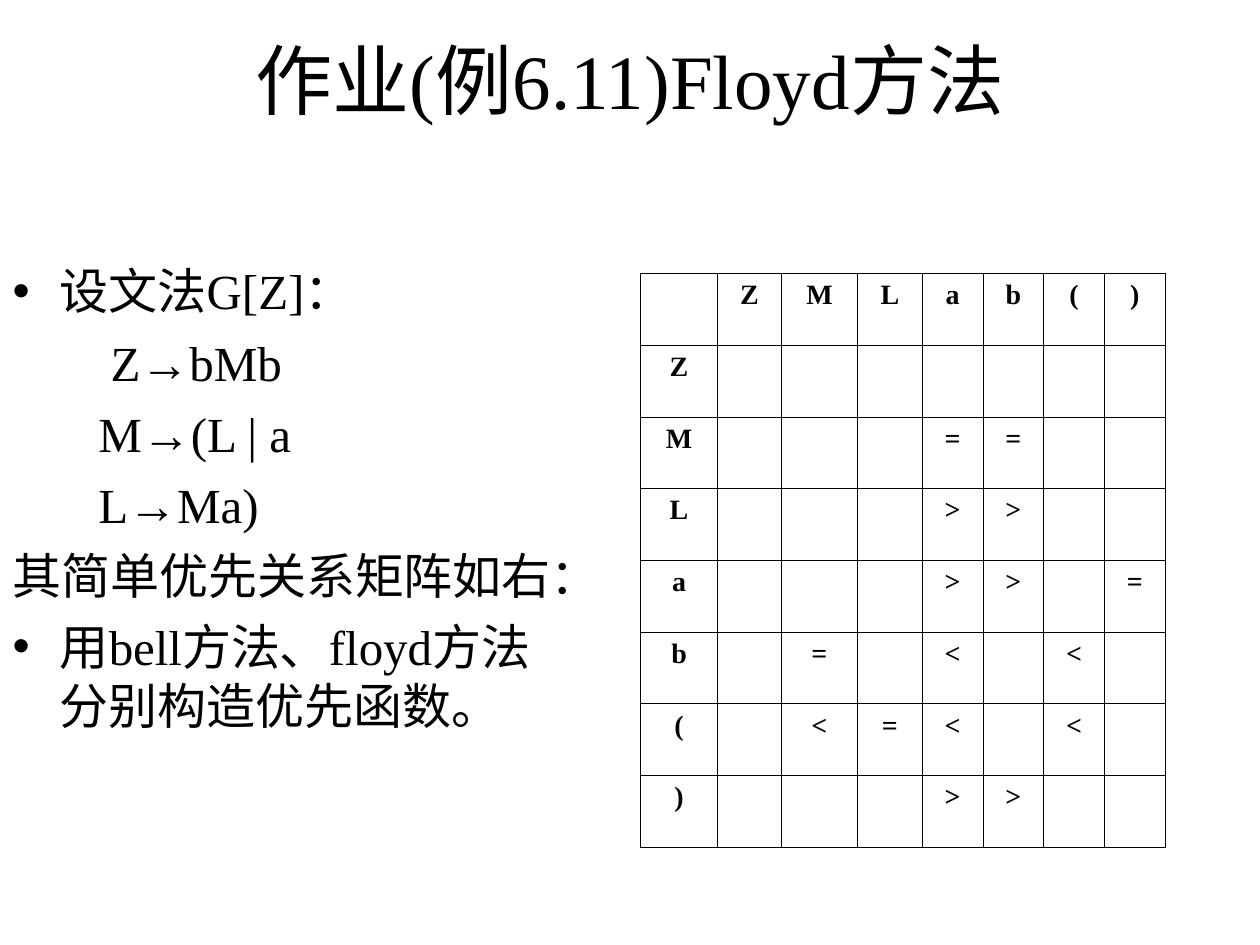
import dataclasses

import lxml.etree
import pptx
import pptx.dml.color
import pptx.enum.text
import pptx.oxml.ns
import pptx.util

Pt = pptx.util.Pt
qn = pptx.oxml.ns.qn
Align = pptx.enum.text.PP_ALIGN
Anchor = pptx.enum.text.MSO_ANCHOR


@dataclasses.dataclass(frozen=True)
class Theme:
    face: str = "Times New Roman"
    ink: str = "000000"
    title: int = 44
    body: int = 28
    cell: int = 16
    rule: float = 0.45


THEME = Theme()

TITLE = "作业(例6.11)Floyd方法"
HANG = 27
LINES = [
    ("设文法G[Z]：", HANG, -HANG, True),
    ("Z→bMb", 56, 0, False),
    ("M→(L | a", 49, 0, False),
    ("L→Ma)", 49, 0, False),
    ("其简单优先关系矩阵如右：", HANG, -HANG, False),
    ("用bell方法、floyd方法分别构造优先函数。", HANG, -HANG, True),
]
MARKS = "ZMLab()"
WIDTHS = [44, 36.5, 43.5, 37] + [34.75] * 4
HEIGHT = 41
RULES = {
    "M": {"a": "=", "b": "="},
    "L": {"a": ">", "b": ">"},
    "a": {"a": ">", "b": ">", ")": "="},
    "b": {"M": "=", "a": "<", "(": "<"},
    "(": {"M": "<", "L": "=", "a": "<", "(": "<"},
    ")": {"a": ">", "b": ">"},
}


def place(shape, left, top, width, height):
    shape.left, shape.top = Pt(left), Pt(top)
    shape.width, shape.height = Pt(width), Pt(height)
    shape.text_frame.auto_size = pptx.enum.text.MSO_AUTO_SIZE.NONE
    shape.text_frame.word_wrap = True


def write(para, text, size, bold=False):
    run = para.add_run()
    run.text = text
    run.font.name = THEME.face
    run.font.size = Pt(size)
    run.font.bold = bold
    run.font.color.rgb = pptx.dml.color.RGBColor.from_string(THEME.ink)


def indent(para, left, first, dot):
    props = para._p.get_or_add_pPr()
    props.set("marL", str(Pt(left)))
    props.set("indent", str(Pt(first)))
    if dot:
        lxml.etree.SubElement(props, qn("a:buChar")).set("char", "•")
    else:
        lxml.etree.SubElement(props, qn("a:buNone"))


def add_head(slide):
    shape = slide.shapes.title
    place(shape, 54, 0, 612, 90)
    shape.text_frame.vertical_anchor = Anchor.MIDDLE
    para = shape.text_frame.paragraphs[0]
    para.alignment = Align.CENTER
    write(para, TITLE, THEME.title)


def add_list(slide):
    shape = slide.placeholders[1]
    place(shape, 0, 145.5, 326, 324)
    frame = shape.text_frame
    for i, (text, left, first, dot) in enumerate(LINES):
        para = frame.add_paragraph() if i else frame.paragraphs[0]
        indent(para, left, first, dot)
        para.space_before = Pt(7 if i else 0)
        write(para, text, THEME.body)


def border(cell):
    props = cell._tc.get_or_add_tcPr()
    for side in "LRTB":
        line = lxml.etree.SubElement(props, qn("a:ln" + side))
        line.set("w", str(Pt(THEME.rule)))
        fill = lxml.etree.SubElement(line, qn("a:solidFill"))
        lxml.etree.SubElement(fill, qn("a:srgbClr")).set("val", THEME.ink)


def add_grid(slide):
    rows = [["", *MARKS]]
    for mark in MARKS:
        signs = RULES.get(mark, {})
        rows.append([mark] + [signs.get(col, "") for col in MARKS])
    count = len(rows)
    frame = slide.shapes.add_table(
        count, len(WIDTHS), Pt(366), Pt(156.25),
        Pt(sum(WIDTHS)), Pt(HEIGHT * count))
    table = frame.table
    table.first_row = table.horz_banding = False
    for col, width in zip(table.columns, WIDTHS):
        col.width = Pt(width)
    for r, row in enumerate(rows):
        table.rows[r].height = Pt(HEIGHT)
        for c, text in enumerate(row):
            cell = table.cell(r, c)
            border(cell)
            cell.fill.background()
            if text:
                para = cell.text_frame.paragraphs[0]
                para.alignment = Align.CENTER
                write(para, text, THEME.cell, True)


def main():
    deck = pptx.Presentation()
    deck.slide_width, deck.slide_height = Pt(720), Pt(540)
    slide = deck.slides.add_slide(deck.slide_layouts[1])
    add_head(slide)
    add_list(slide)
    add_grid(slide)
    deck.save("out.pptx")


if __name__ == "__main__":
    main()
